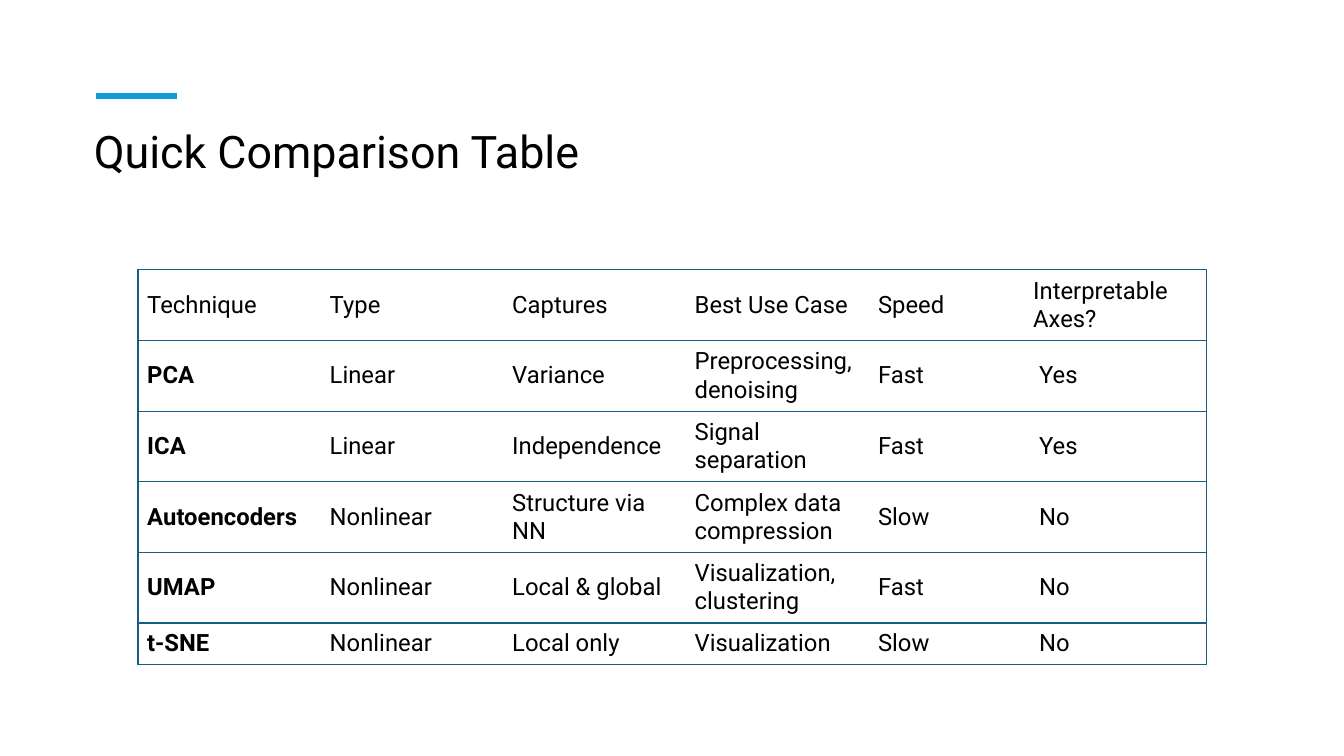
from typing import NamedTuple

from lxml import etree
from pptx import Presentation
from pptx import util as u
from pptx.dml.color import RGBColor
from pptx.enum import shapes, text
from pptx.oxml import ns

COLORS = {"ink": "000000", "paper": "FFFFFF", "accent": "0F9ED5", "rule": "156082"}
FONT = "Roboto"
COLUMN_WIDTHS = (4.6, 4.6, 4.6, 4.62, 3.91, 4.6)
ROW_HEIGHTS = (1.78,) * 5 + (1.04,)


class Technique(NamedTuple):
    """One row of the comparison table."""
    name: str
    kind: str
    captures: str
    use_case: str
    speed: str
    interpretable: str


HEADER = Technique("Technique", "Type", "Captures", "Best Use Case", "Speed",
                   "Interpretable Axes?")
TECHNIQUES = (
    Technique("PCA", "Linear", "Variance", "Preprocessing, denoising", "Fast", " Yes"),
    Technique("ICA", "Linear", "Independence", "Signal separation", "Fast", " Yes"),
    Technique("Autoencoders", "Nonlinear", "Structure via NN",
              "Complex data compression", "Slow", " No"),
    Technique("UMAP", "Nonlinear", "Local & global", "Visualization, clustering",
              "Fast", " No"),
    Technique("t-SNE", "Nonlinear", "Local only", "Visualization", "Slow", " No"),
)


def color(name: str) -> RGBColor:
    """Look up a named colour."""
    return RGBColor.from_string(COLORS[name])


def write(frame, content: str, *, size: float, bold: bool = False,
          line_spacing: float = 1.0) -> None:
    """Put formatted, left-aligned text in a text frame."""
    frame.word_wrap = True
    paragraph = frame.paragraphs[0]
    paragraph.alignment = text.PP_ALIGN.LEFT
    paragraph.line_spacing = line_spacing
    run = paragraph.add_run()
    run.text = content
    run.font.name, run.font.size, run.font.bold = FONT, u.Pt(size), bold
    run.font.color.rgb = color("ink")


def set_borders(cell, visible: set[str]) -> None:
    """Rule the visible sides (L, R, T, B) of a cell and clear the others."""
    properties = cell._tc.get_or_add_tcPr()
    for index, side in enumerate("LRTB"):
        line = etree.Element(ns.qn(f"a:ln{side}"), w=str(u.Pt(1)))
        if side in visible:
            fill = etree.SubElement(line, ns.qn("a:solidFill"))
            etree.SubElement(fill, ns.qn("a:srgbClr"), val=COLORS["rule"])
        else:
            etree.SubElement(line, ns.qn("a:noFill"))
        properties.insert(index, line)


def add_title(slide, content: str) -> None:
    """Place and format the title placeholder."""
    title = slide.shapes.title
    title.left, title.top = u.Cm(2.11), u.Cm(3.15)
    title.width, title.height = u.Cm(27.05), u.Cm(3.07)
    title.text_frame.vertical_anchor = text.MSO_ANCHOR.TOP
    write(title.text_frame, content, size=32, line_spacing=0.9)


def add_accent(slide) -> None:
    """Draw the short line above the title."""
    line = slide.shapes.add_connector(shapes.MSO_CONNECTOR.STRAIGHT, u.Cm(2.41),
                                      u.Cm(2.42), u.Cm(4.45), u.Cm(2.42))
    line.line.color.rgb = color("accent")
    line.line.width = u.Pt(4.5)
    etree.SubElement(line._element.spPr, ns.qn("a:effectLst"))


def add_comparison(slide, rows: tuple[Technique, ...]) -> None:
    """Draw the table with horizontal rules and an outer frame."""
    table = slide.shapes.add_table(
        len(rows), len(COLUMN_WIDTHS), u.Cm(3.48), u.Cm(6.8),
        u.Cm(sum(COLUMN_WIDTHS)), u.Cm(sum(ROW_HEIGHTS))).table
    table.first_row = table.horz_banding = False
    for column, width in zip(table.columns, COLUMN_WIDTHS):
        column.width = u.Cm(width)
    last = len(COLUMN_WIDTHS) - 1
    for row_index, (row, height) in enumerate(zip(rows, ROW_HEIGHTS)):
        table.rows[row_index].height = u.Cm(height)
        for column_index, content in enumerate(row):
            cell = table.cell(row_index, column_index)
            cell.fill.solid()
            cell.fill.fore_color.rgb = color("paper")
            cell.vertical_anchor = text.MSO_ANCHOR.MIDDLE
            cell.margin_left = cell.margin_right = u.Cm(0.23)
            cell.margin_top = cell.margin_bottom = u.Cm(0.12)
            write(cell.text_frame, content, size=17,
                  bold=row_index > 0 and column_index == 0)
            set_borders(cell, {"T", "B"} | {0: {"L"}, last: {"R"}}.get(column_index, set()))


def main() -> None:
    """Build and save the slide."""
    presentation = Presentation()
    presentation.slide_width, presentation.slide_height = u.Cm(33.87), u.Cm(19.05)
    slide = presentation.slides.add_slide(presentation.slide_layouts[5])
    add_title(slide, "Quick Comparison Table")
    add_accent(slide)
    add_comparison(slide, (HEADER, *TECHNIQUES))
    presentation.save("out.pptx")


main()
